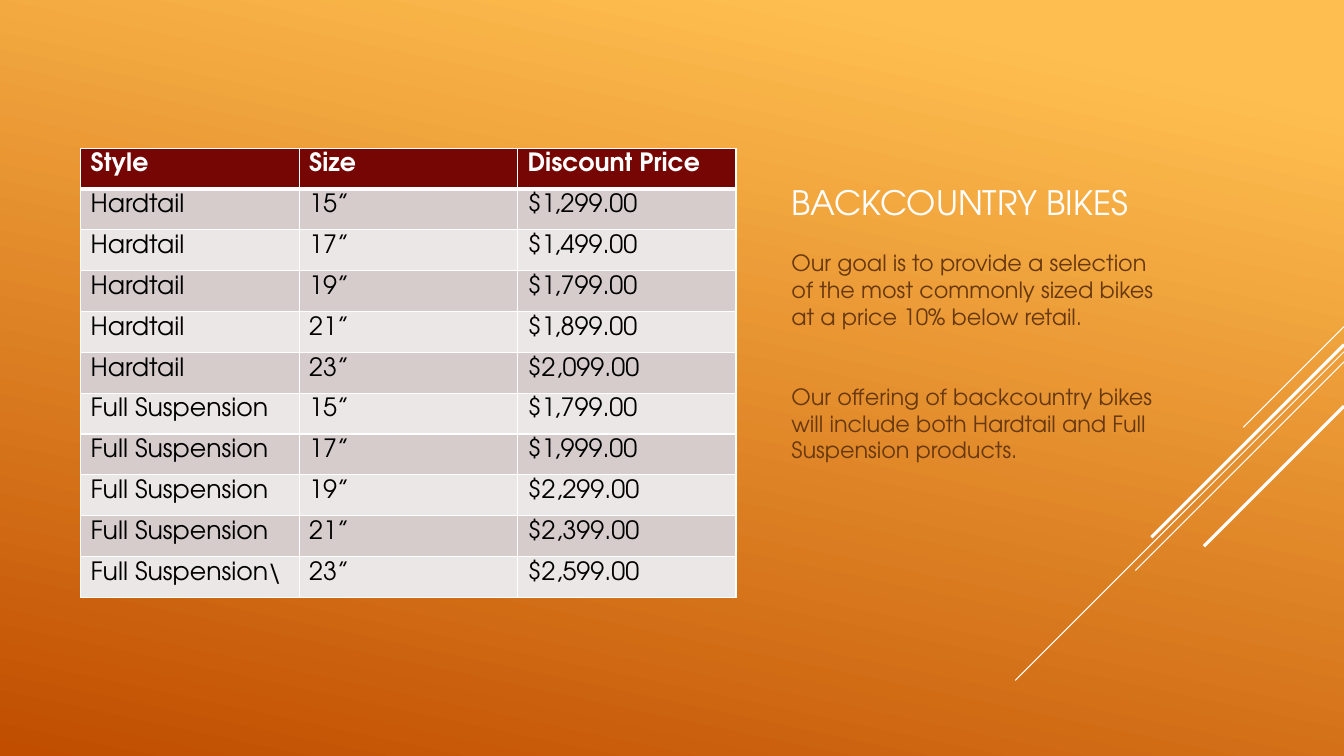
from lxml import etree
from pptx import Presentation
from pptx.dml.color import RGBColor
from pptx.enum.shapes import MSO_CONNECTOR
from pptx.enum.text import MSO_ANCHOR, MSO_AUTO_SIZE, PP_ALIGN
from pptx.oxml.ns import qn
from pptx.util import Pt

STRAIGHT = MSO_CONNECTOR.STRAIGHT
TOP, BOTTOM = MSO_ANCHOR.TOP, MSO_ANCHOR.BOTTOM
LEFT = PP_ALIGN.LEFT
NO_FIT = MSO_AUTO_SIZE.NONE
PX = 9144
FONT = "TeX Gyre Adventor"
WHITE, BLACK, BROWN, MAROON = "FFFFFF", "000000", "68380F", "760603"
BANDS = ["D6CCCC", "ECE7E7"]

HEADER = ["Style", "Size", "Discount Price"]
BIKES = [
    ["Hardtail", "15”", "$1,299.00"],
    ["Hardtail", "17”", "$1,499.00"],
    ["Hardtail", "19”", "$1,799.00"],
    ["Hardtail", "21”", "$1,899.00"],
    ["Hardtail", "23”", "$2,099.00"],
    ["Full Suspension", "15”", "$1,799.00"],
    ["Full Suspension", "17”", "$1,999.00"],
    ["Full Suspension", "19”", "$2,299.00"],
    ["Full Suspension", "21”", "$2,399.00"],
    ["Full Suspension\\", "23”", "$2,599.00"],
]
GOALS = [
    "Our goal is to provide a selection of the most commonly sized bikes "
    "at a price 10% below retail.",
    "Our offering of backcountry bikes will include both Hardtail and Full "
    "Suspension products.",
]
STRIPES = [(324, 100, 0.75), (349, 326, 0.75), (359, 207, 0.75),
           (342, 191, 2.25), (403, 139, 2.25)]


def rgb(color):
    return RGBColor.from_string(color)


def set_font(p, size, color, bold=False):
    f = p.font
    f.name, f.size, f.bold = FONT, Pt(size), bold
    f.color.rgb = rgb(color)


def add_background(s):
    fill = s.background.fill
    fill.gradient()
    fill.gradient_angle = 258
    for stop, (pos, color) in zip(fill.gradient_stops,
                                  [(0.1, "FFBF50"), (1, "C04D00")]):
        stop.position = pos
        stop.color.rgb = rgb(color)


def add_stripes(s, right):
    for y, run, width in STRIPES:
        line = s.shapes.add_connector(STRAIGHT, right * PX, y * PX,
                                      (right - run) * PX, (y + run) * PX)
        line.line.color.rgb = rgb(WHITE)
        line.line.width = Pt(width)
        etree.SubElement(line._element.spPr, qn("a:effectLst"))


def set_borders(cell, **widths):
    tcPr = cell._tc.get_or_add_tcPr()
    for side in "LRTB":
        ln = etree.SubElement(tcPr, qn("a:ln" + side),
                              w=str(Pt(widths.get(side, 1))))
        fill = etree.SubElement(ln, qn("a:solidFill"))
        etree.SubElement(fill, qn("a:srgbClr"), val=WHITE)


def add_price_table(s, x, y, w, h):
    rows = [HEADER] + BIKES
    table = s.shapes.add_table(len(rows), len(HEADER),
                               x * PX, y * PX, w * PX, h * PX).table
    for i, row in enumerate(rows):
        for j, text in enumerate(row):
            cell = table.cell(i, j)
            set_borders(cell, T=3 if i == 1 else 1, B=1 if i else 3)
            cell.fill.solid()
            cell.fill.fore_color.rgb = rgb(BANDS[(i - 1) % 2] if i else MAROON)
            cell.vertical_anchor = TOP
            cell.text = text
            set_font(cell.text_frame.paragraphs[0], 18,
                     BLACK if i else WHITE, bold=i == 0)


def fill_placeholder(sp, box, anchor, texts, size, color, gap=0):
    sp.left, sp.top, sp.width, sp.height = [v * PX for v in box]
    tf = sp.text_frame
    tf.word_wrap = True
    tf.auto_size = NO_FIT
    tf.vertical_anchor = anchor
    tf.text = "\n".join(texts)
    for i, p in enumerate(tf.paragraphs):
        p.alignment = LEFT
        p.space_before = Pt(gap if i else 0)
        set_font(p, size, color)


def add_caption(s, x, y, w, h):
    title_h = 150
    body_y = y + title_h + 17
    title, body = s.placeholders
    fill_placeholder(title, (x, y, w, title_h), BOTTOM,
                     ["BACKCOUNTRY BIKES"], 24, WHITE)
    fill_placeholder(body, (x, body_y, w, y + h - body_y), TOP,
                     GOALS, 16, BROWN, gap=38)


def main():
    prs = Presentation()
    prs.slide_width, prs.slide_height = 1333 * PX, 750 * PX
    s = prs.slides.add_slide(prs.slide_layouts.get_by_name("Section Header"))
    add_background(s)
    add_stripes(s, 1333)
    add_caption(s, 775, 75, 400, 396)
    add_price_table(s, 80, 147, 650, 446)
    prs.save("out.pptx")


if __name__ == "__main__":
    main()
